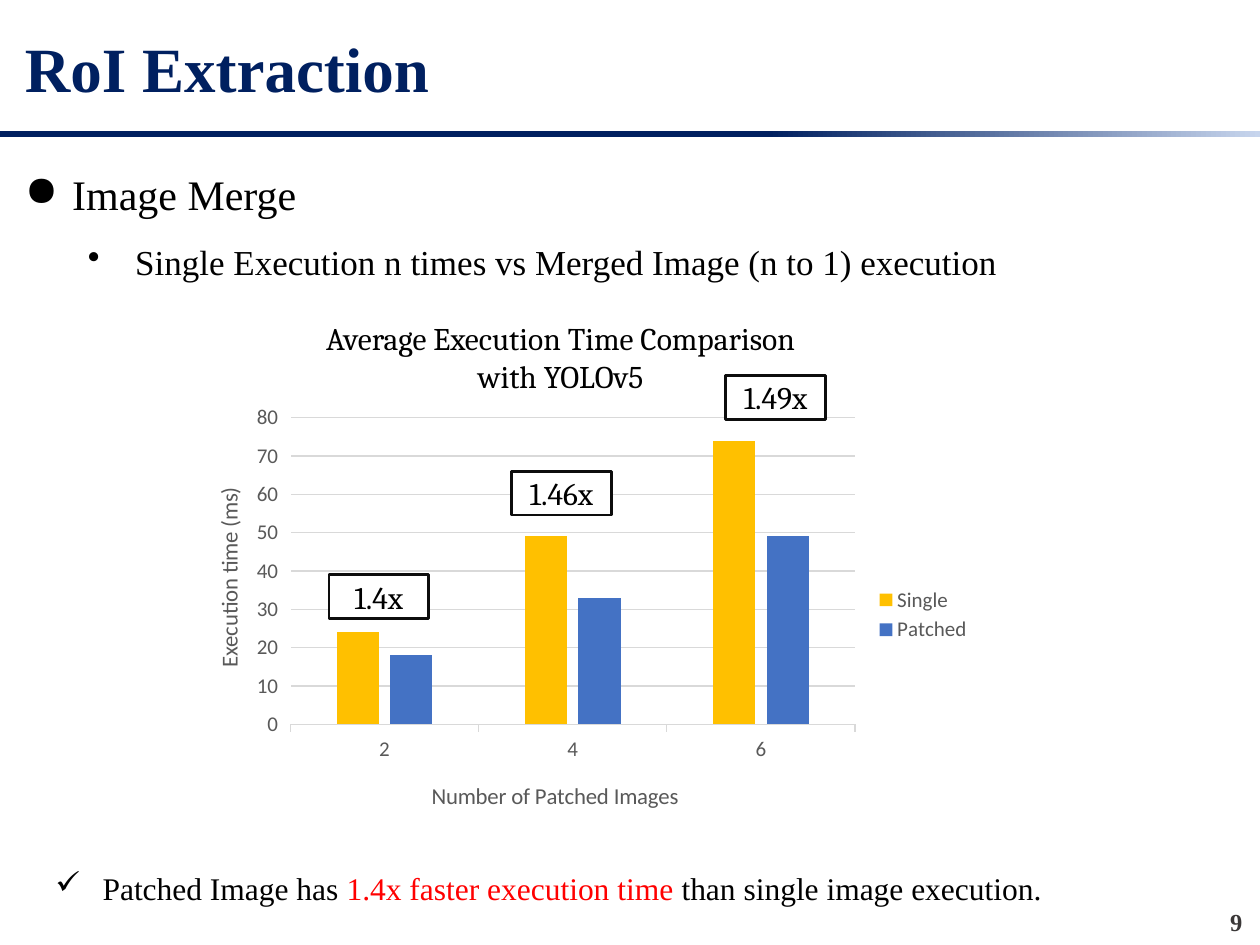
from dataclasses import dataclass

import pptx
import pptx.chart.data
import pptx.dml.color
import pptx.enum.chart
import pptx.enum.shapes
import pptx.enum.text
import pptx.oxml
import pptx.oxml.ns
import pptx.util
from lxml import etree

Pt = pptx.util.Pt
ALIGN = pptx.enum.text.PP_ALIGN
MIDDLE = pptx.enum.text.MSO_ANCHOR.MIDDLE


@dataclass(frozen=True)
class Theme:
    navy: str = "002060"
    pale: str = "C7D5ED"
    black: str = "000000"
    white: str = "FFFFFF"
    red: str = "FF0000"
    number: str = "3B3838"
    outline: str = "0D0D0D"
    label: str = "595959"
    grid: str = "D9D9D9"
    single: str = "FFC000"
    patched: str = "4472C4"
    serif: str = "Times New Roman"
    caption: str = "Cambria"
    chart: str = "Calibri"
    title_size: int = 36
    topic_size: int = 24
    detail_size: int = 20
    body_size: int = 18
    number_size: int = 14
    axis_title_size: int = 13
    chart_size: int = 12


THEME = Theme()


def rgb(value):
    return pptx.dml.color.RGBColor.from_string(value)


def style_font(font, size, name, color=THEME.black, bold=False):
    font.size, font.name, font.bold = Pt(size), name, bold
    font.color.rgb = rgb(color)


def add_run(paragraph, text, size, name=THEME.serif, color=THEME.black, bold=False):
    run = paragraph.add_run()
    run.text = text
    style_font(run.font, size, name, color, bold)


def add_text_box(slide, box):
    frame = slide.shapes.add_textbox(*map(Pt, box)).text_frame
    frame.word_wrap = True
    return frame


def add_bullet(paragraph, character, indent, level=0):
    """Give a paragraph 1.5 spacing and a bullet hanging 27 points left of its text."""
    paragraph.level = level
    paragraph.line_spacing = 1.5
    properties = paragraph._p.get_or_add_pPr()
    properties.set("marL", str(Pt(indent)))
    properties.set("indent", str(Pt(-27)))
    bullet = etree.SubElement(properties, pptx.oxml.ns.qn("a:buChar"))
    bullet.set("char", character)


def add_rectangle(slide, box):
    shape = slide.shapes.add_shape(
        pptx.enum.shapes.MSO_SHAPE.RECTANGLE, *map(Pt, box))
    shape.shadow.inherit = False
    return shape


def add_header(slide, box, title):
    left, top, width, height = box
    rule = add_rectangle(slide, (left, top + height - 3.6, width, 3.6))
    rule.line.fill.background()
    rule.fill.gradient()
    rule.fill.gradient_angle = 0
    stops = ((0.61, THEME.navy), (1, THEME.pale))
    for stop, (position, color) in zip(rule.fill.gradient_stops, stops):
        stop.position = position
        stop.color.rgb = rgb(color)
    frame = add_text_box(slide, (left + 7.2, top + 9.4, width - 36, 57.6))
    frame.vertical_anchor = MIDDLE
    add_run(frame.paragraphs[0], title, THEME.title_size, color=THEME.navy, bold=True)


def add_page_number(slide, box, number):
    paragraph = add_text_box(slide, box).paragraphs[0]
    paragraph.alignment = ALIGN.RIGHT
    add_run(paragraph, number, THEME.number_size, color=THEME.number, bold=True)


def add_topic(slide, box, topic, detail):
    frame = add_text_box(slide, box)
    add_bullet(frame.paragraphs[0], "●", 27)
    add_run(frame.paragraphs[0], topic, THEME.topic_size)
    paragraph = frame.add_paragraph()
    add_bullet(paragraph, "•", 63, level=1)
    add_run(paragraph, detail, THEME.detail_size)


def add_conclusion(slide, box, runs):
    paragraph = add_text_box(slide, box).paragraphs[0]
    add_bullet(paragraph, "✓", 27)
    for text, color in runs:
        add_run(paragraph, text, THEME.body_size, color=color)


def add_layout(parent, before, x, y, size=None):
    """Place a chart part by fractions of the chart's width and height."""
    values = {"xMode": "edge", "yMode": "edge", "x": x, "y": y}
    if size:
        values = {"layoutTarget": "inner", **values, "w": size[0], "h": size[1]}
    for old in parent.findall(pptx.oxml.ns.qn("c:layout")):
        parent.remove(old)
    parts = "".join(f'<c:{key} val="{value}"/>' for key, value in values.items())
    layout = pptx.oxml.parse_xml(
        f'<c:layout {pptx.oxml.ns.nsdecls("c")}><c:manualLayout>{parts}'
        "</c:manualLayout></c:layout>")
    parent.insert(before, layout)


def style_axis(axis, title, x, y):
    paragraph = axis.axis_title.text_frame.paragraphs[0]
    add_run(paragraph, title, THEME.axis_title_size, THEME.chart, THEME.label)
    add_layout(axis.axis_title._element, 1, x, y)
    style_font(axis.tick_labels.font, THEME.chart_size, THEME.chart, THEME.label)
    axis.major_tick_mark = pptx.enum.chart.XL_TICK_MARK.OUTSIDE
    axis.minor_tick_mark = pptx.enum.chart.XL_TICK_MARK.NONE


def add_time_chart(slide, box, categories, series):
    data = pptx.chart.data.CategoryChartData()
    data.categories = categories
    for name, values, _ in series:
        data.add_series(name, values)
    chart = slide.shapes.add_chart(
        pptx.enum.chart.XL_CHART_TYPE.COLUMN_CLUSTERED, *map(Pt, box), data).chart
    chart.has_title = False
    style_font(chart.font, THEME.chart_size, THEME.chart, THEME.label)
    chart.has_legend = True
    chart.legend.position = pptx.enum.chart.XL_LEGEND_POSITION.RIGHT
    chart.legend.include_in_layout = False
    style_font(chart.legend.font, THEME.chart_size, THEME.chart, THEME.label)

    style_axis(chart.category_axis, "Number of Patched Images", 0.31, 0.87)
    style_axis(chart.value_axis, "Execution time (ms)", 0.04, 0.2)
    value_axis = chart.value_axis
    value_axis.minimum_scale, value_axis.maximum_scale = 0, 80
    value_axis.major_unit = 10
    value_axis.format.line.fill.background()
    for line in (chart.category_axis.format.line, value_axis.major_gridlines.format.line):
        line.color.rgb = rgb(THEME.grid)
        line.width = Pt(0.75)

    plot = chart.plots[0]
    plot.vary_by_categories = False
    plot.gap_width, plot.overlap = 219, -27
    for column, (_, _, color) in zip(plot.series, series):
        column.format.fill.solid()
        column.format.fill.fore_color.rgb = rgb(color)
    add_layout(chart._chartSpace.chart.plotArea, 0, 0.14, 0.05, (0.7, 0.7))


def add_speedup(slide, left, top, text):
    shape = add_rectangle(slide, (left, top, 57, 25))
    shape.fill.solid()
    shape.fill.fore_color.rgb = rgb(THEME.white)
    shape.line.color.rgb = rgb(THEME.outline)
    shape.line.width = Pt(1.5)
    frame = shape.text_frame
    frame.vertical_anchor = MIDDLE
    frame.paragraphs[0].alignment = ALIGN.CENTER
    add_run(frame.paragraphs[0], text, THEME.body_size, THEME.caption)


def add_comparison(slide, box):
    left, top, width, height = box
    caption = add_text_box(slide, (left + 67.7, top, 302.4, 51)).paragraphs[0]
    caption.alignment = ALIGN.CENTER
    add_run(caption, "Average Execution Time Comparison with YOLOv5",
            THEME.body_size, THEME.caption)
    add_time_chart(slide, (left, top + 47.5, width, height - 47.5), ("2", "4", "6"), (
        ("Single", (24, 49, 74), THEME.single),
        ("Patched", (18, 33, 49), THEME.patched)))
    for x, y, text in ((86.4, 149.8, "1.4x"), (190.8, 90.7, "1.46x"), (313.2, 36, "1.49x")):
        add_speedup(slide, left + x, top + y, text)


def main():
    presentation = pptx.Presentation()
    presentation.slide_width, presentation.slide_height = Pt(720), Pt(540)
    slide = presentation.slides.add_slide(presentation.slide_layouts[6])
    add_header(slide, (0, 0, 720, 78.5), "RoI Extraction")
    add_page_number(slide, (687, 514.8, 30, 21.6), "9")
    add_topic(slide, (7.2, 78.5, 700, 83), "Image Merge",
              "Single Execution n times vs Merged Image (n to 1) execution")
    add_comparison(slide, (101.5, 178.6, 460.8, 298))
    add_conclusion(slide, (24.5, 482.4, 591, 36), (
        ("Patched Image has ", THEME.black),
        ("1.4x faster execution time ", THEME.red),
        ("than single image execution.", THEME.black)))
    presentation.save("out.pptx")


if __name__ == "__main__":
    main()
